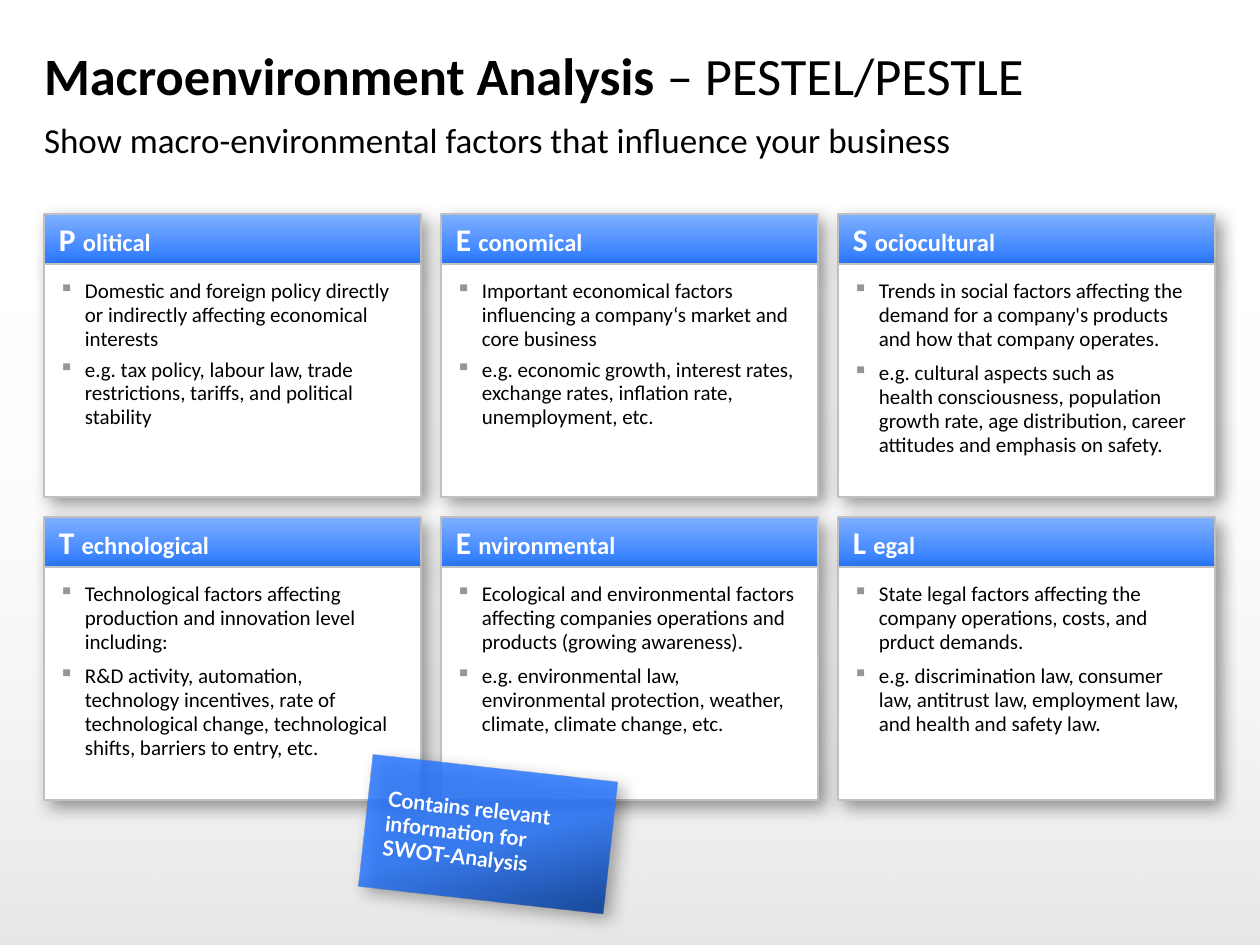
from pptx import Presentation
from pptx.dml.color import RGBColor
from pptx.enum.shapes import MSO_SHAPE as Shape
from pptx.enum.text import MSO_ANCHOR as Anchor, MSO_AUTO_SIZE as Fit, PP_ALIGN as Align
from pptx.oxml.ns import qn
from pptx.util import Emu, Pt
from lxml.etree import SubElement

SCALE = 914400 // 126
HUES = {
    "black": "000000", "white": "FFFFFF", "gray": "C0C0C0", "mark": "969696",
    "light": "7FAFFF", "blue": "2A79FF", "navy": "003794",
}
HEAD = [(0, "light", 100), (100, "blue", 100)]
NOTE = [(0, "blue", 85), (53, "blue", 85), (100, "navy", 85)]
FADE = [(0, "black", 10), (100, "white", 0)]
CARDS = [
    ("P", "olitical", 4, [
        "Domestic and foreign policy directly or indirectly affecting economical interests",
        "e.g. tax policy, labour law, trade restrictions, tariffs, and political stability"]),
    ("E", "conomical", 4, [
        "Important economical factors influencing a company‘s market and core business",
        "e.g. economic growth, interest rates, exchange rates, inflation rate, unemployment, etc."]),
    ("S", "ociocultural", 6, [
        "Trends in social factors affecting the demand for a company's products and how that company operates.",
        "e.g. cultural aspects such as \nhealth consciousness, population growth rate, age distribution, career attitudes and emphasis on safety."]),
    ("T", "echnological", 6, [
        "Technological factors affecting production and innovation level including:",
        "R&D activity, automation, technology incentives, rate of technological change, technological shifts, barriers to entry, etc."]),
    ("E", "nvironmental", 6, [
        "Ecological and environmental factors affecting companies operations and products (growing awareness).",
        "e.g. environmental law, environmental protection, weather, climate, climate change, etc."]),
    ("L", "egal", 6, [
        "State legal factors affecting the company operations, costs, and prduct demands.",
        "e.g. discrimination law, consumer law, antitrust law, employment law, and health and safety law."]),
]


def px(*sizes):
    return [Emu(size * SCALE) for size in sizes]


def rgb(hue):
    return RGBColor.from_string(HUES[hue])


def node(parent, tag, **attrs):
    return SubElement(parent, qn("a:" + tag), {key: str(val) for key, val in attrs.items()})


def tint(parent, hue, alpha=100):
    color = node(parent, "srgbClr", val=HUES[hue])
    if alpha < 100:
        node(color, "alpha", val=alpha * 1000)


def blend(shape, stops, angle):
    grad = node(shape._element.spPr, "gradFill", rotWithShape=1)
    items = node(grad, "gsLst")
    for pos, hue, alpha in stops:
        tint(node(items, "gs", pos=pos * 1000), hue, alpha)
    node(grad, "lin", ang=angle * 60000, scaled=0)


def shade(shape):
    effects = shape._element.spPr.find(qn("a:effectLst"))
    drop = node(effects, "outerShdw", blurRad=Pt(10), dist=Pt(5),
                dir=45 * 60000, algn="tl", rotWithShape=0)
    tint(drop, "black", 40)


def panel(slide, box, stops=None, angle=90, edge=True, shadow=True):
    shape = slide.shapes.add_shape(Shape.RECTANGLE, *px(*box))
    if stops:
        blend(shape, stops, angle)
    else:
        shape.fill.solid()
        shape.fill.fore_color.rgb = rgb("white")
    if edge:
        shape.line.color.rgb = rgb("gray")
        shape.line.width = Pt(1)
    else:
        shape.line.fill.background()
    shape.shadow.inherit = False
    if shadow:
        shade(shape)
    return shape


def bullet(para):
    props = para._p.get_or_add_pPr()
    indent = px(26)[0]
    props.set("marL", str(indent))
    props.set("indent", str(-indent))
    tint(node(props, "buClr"), "mark")
    node(props, "buChar", char="▪")


def write(shape, paras, pad=(0, 0, 0, 0), anchor=Anchor.TOP, font="Calibri",
          hue="black", lead=None, after=None, marked=False):
    frame = shape.text_frame
    frame.word_wrap = True
    frame.auto_size = Fit.NONE
    frame.vertical_anchor = anchor
    (frame.margin_left, frame.margin_top,
     frame.margin_right, frame.margin_bottom) = px(*pad)
    for at, runs in enumerate(paras):
        para = frame.add_paragraph() if at else frame.paragraphs[0]
        para.alignment = Align.LEFT
        if marked:
            bullet(para)
        if lead:
            para.line_spacing = lead
        if after:
            para.space_after = Pt(after)
        for text, size, bold in runs:
            for row, line in enumerate(text.split("\n")):
                if row:
                    para.add_line_break()
                run = para.add_run()
                run.text = line
                run.font.name = font
                run.font.size = Pt(size)
                run.font.bold = bold
                run.font.color.rgb = rgb(hue)


def heading(slide):
    title = slide.shapes.title
    title.left, title.top, title.width, title.height = px(44, 33, 1171, 84)
    write(title, [[("Macroenvironment Analysis", 30, True),
                   (" – PESTEL/PESTLE", 30, False)]], anchor=Anchor.MIDDLE)
    box = slide.shapes.add_textbox(*px(44, 118, 1171, 47))
    write(box, [[("Show macro-environmental factors that influence your business", 20, False)]])


def card(slide, left, top, letter, rest, after, points):
    head = panel(slide, (left, top, 377, 50), HEAD)
    write(head, [[(letter + " ", 18, True), (rest, 14, True)]],
          pad=(15, 10, 15, 10), anchor=Anchor.MIDDLE, hue="white")
    body = panel(slide, (left, top + 50, 377, 233))
    write(body, [[(point, 12, False)] for point in points],
          pad=(15, 15, 20, 10), lead=0.95, after=after, marked=True)


def sticker(slide):
    note = panel(slide, (365, 768, 246, 132), NOTE, 70, edge=False)
    note.rotation = 6.4
    write(note, [[("Contains relevant information for\nSWOT-Analysis", 12, True)]],
          pad=(20, 30, 10, 6), font="Lato", hue="white", lead=Pt(14), after=6)


def main():
    deck = Presentation()
    deck.slide_width, deck.slide_height = px(1260, 945)
    slide = deck.slides.add_slide(deck.slide_layouts[5])
    panel(slide, (0, 278, 1260, 667), FADE, 270, edge=False, shadow=False)
    heading(slide)
    for at, content in enumerate(CARDS):
        row, col = divmod(at, 3)
        card(slide, 44 + col * 397, 214 + row * 303, *content)
    sticker(slide)
    deck.save("out.pptx")


if __name__ == "__main__":
    main()
